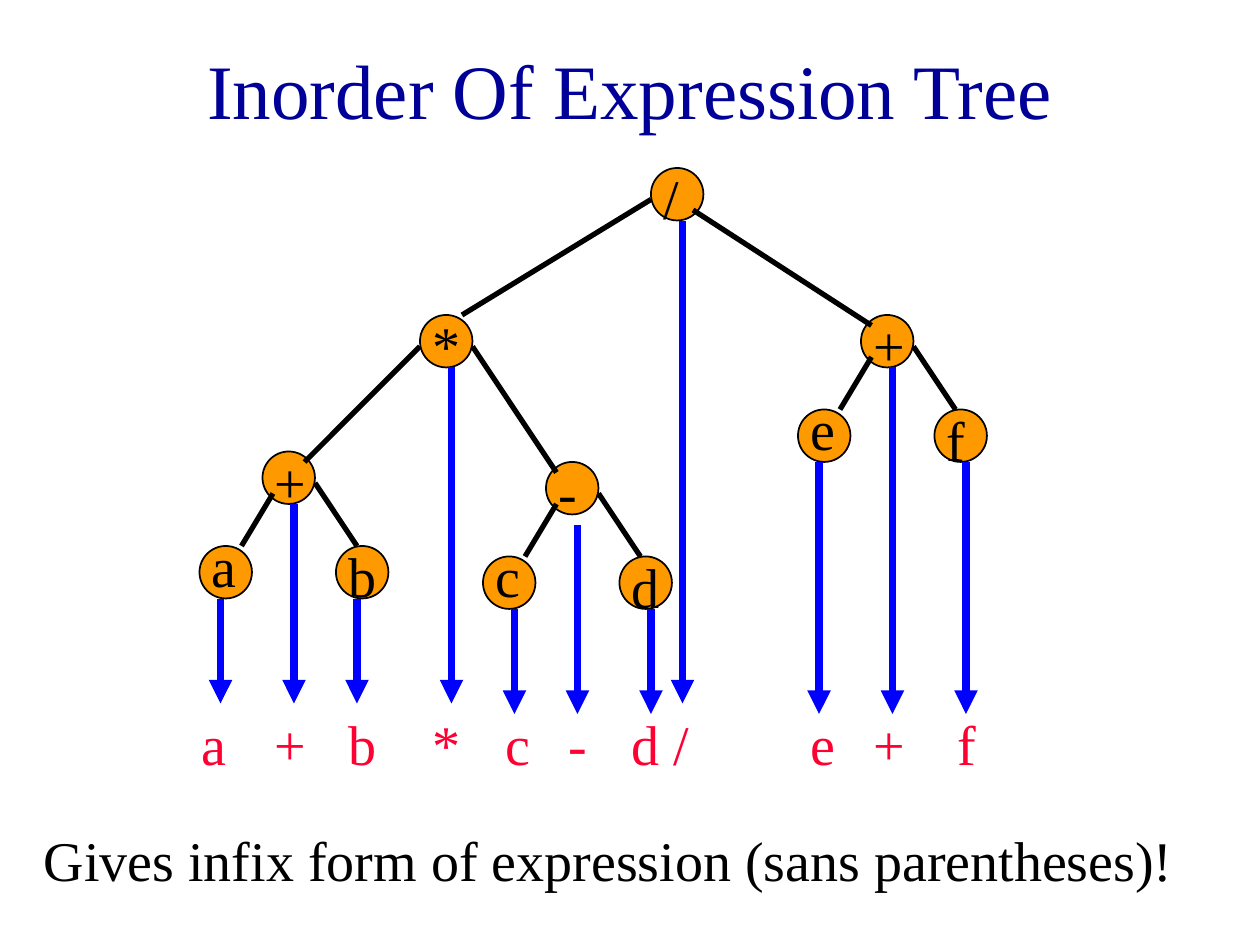
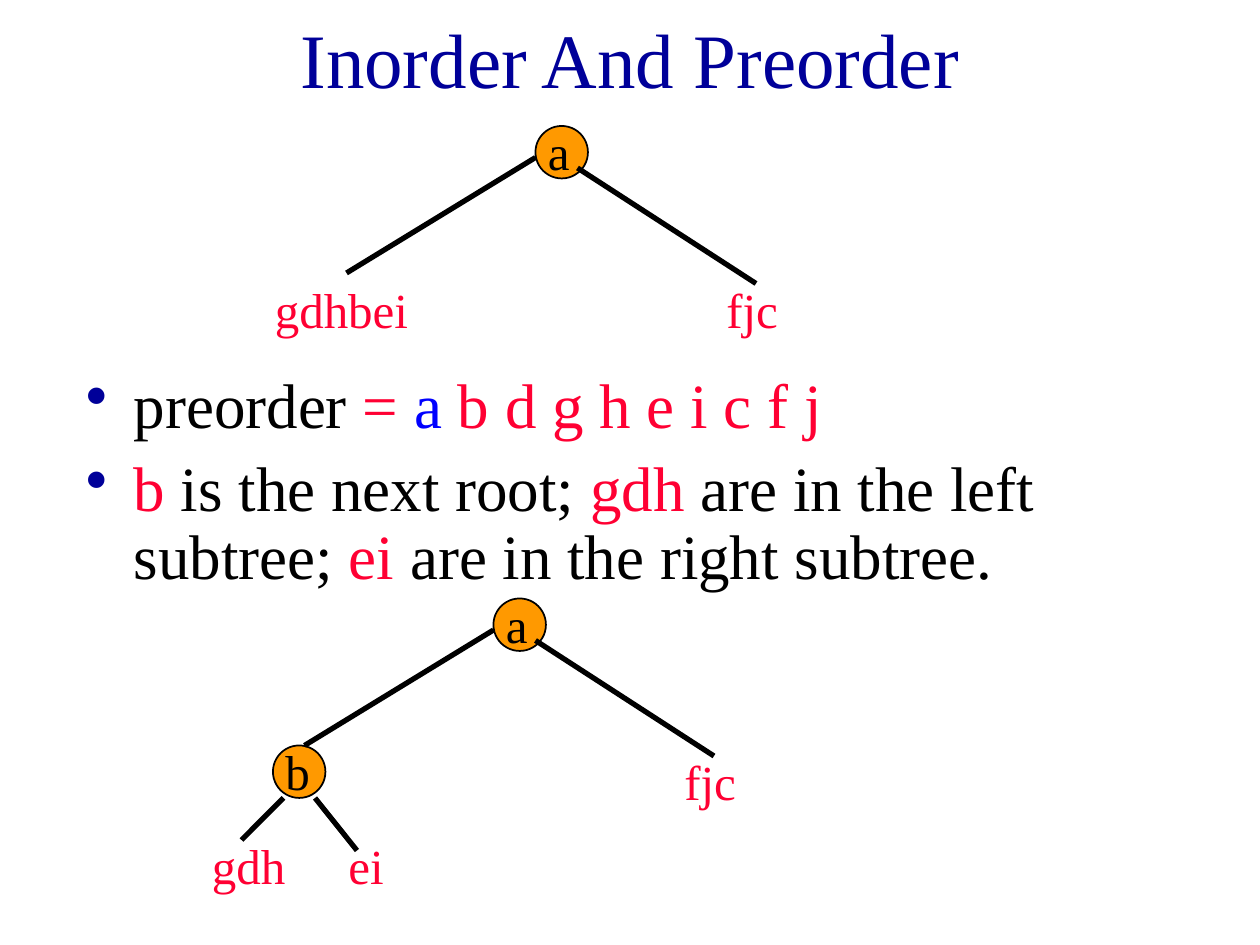
from lxml import etree
from pptx import Presentation
from pptx.dml.color import RGBColor
from pptx.enum import shapes, text
from pptx.oxml import ns
from pptx.util import Inches, Pt

COLORS = {"title": "000099", "ink": "000000", "node": "FF9900",
          "result": "FF0033", "arrow": "0000FF"}
FONT = "Times New Roman"
GRID = Inches(1) / 12  # every position below is a whole number of twelfths
NODE = 5


def add_text(page, words, x, y, width, height, size, color="ink"):
    box = page.shapes.add_textbox(*(round(n * GRID) for n in (x, y, width, height)))
    box.text_frame.word_wrap = True
    para = box.text_frame.paragraphs[0]
    para.text = words
    para.font.name, para.font.size = FONT, Pt(size)
    para.font.color.rgb = RGBColor.from_string(COLORS[color])
    para.space_before = Pt(size * 0.625)
    return box


def add_line(page, x1, y1, x2, y2, color="ink", width=3):
    line = page.shapes.add_connector(
        shapes.MSO_CONNECTOR.STRAIGHT, *(round(n * GRID) for n in (x1, y1, x2, y2)))
    line.line.color.rgb = RGBColor.from_string(COLORS[color])
    line.line.width = Pt(width)
    etree.SubElement(line._element.spPr, ns.qn("a:effectLst"))
    return line


deck = Presentation()
deck.slide_width, deck.slide_height = Inches(10), Inches(7.5)
tree_page, order_page = (deck.slides.add_slide(deck.slide_layouts[6]) for _ in range(2))

for page, title, height in ((tree_page, "Inorder Of Expression Tree", 13),
                            (order_page, "Inorder And Preorder", 7)):
    box = add_text(page, title, 9, 2, 102, height, 44, "title")
    box.text_frame.vertical_anchor = text.MSO_ANCHOR.MIDDLE
    para = box.text_frame.paragraphs[0]
    para.alignment = text.PP_ALIGN.CENTER
    para.space_before = Pt(0)

# Body text of the second slide
body = add_text(order_page, "", 7, 35, 102, 24, 36).text_frame
bullets = [
    [("preorder", "ink"), (" = ", "result"), ("a", "arrow"),
     (" b d g h e i c f j", "result")],
    [("b", "result"), (" is the next root; ", "ink"), ("gdh", "result"),
     (" are in the left subtree; ", "ink"), ("ei", "result"),
     (" are in the right subtree.", "ink")],
]
for number, pieces in enumerate(bullets):
    para = body.add_paragraph() if number else body.paragraphs[0]
    para.font.name, para.font.size = FONT, Pt(36)
    para.line_spacing, para.space_before = 0.9, Pt(9)
    for words, color in pieces:
        span = para.add_run()
        span.text = words
        span.font.color.rgb = RGBColor.from_string(COLORS[color])
    props = para._p.get_or_add_pPr()
    props.set("marL", str(Inches(0.38)))
    props.set("indent", str(-Inches(0.38)))
    bullet_color = etree.Element(ns.qn("a:buClr"))
    etree.SubElement(bullet_color, ns.qn("a:srgbClr"), val=COLORS["title"])
    bullet = etree.Element(ns.qn("a:buChar"), char="•")
    position = len(props.findall(ns.qn("a:lnSpc")) + props.findall(ns.qn("a:spcBef")))
    props.insert(position, bullet_color)
    props.insert(position + 1, bullet)

# Nodes: page, label, left, top, rise of the label above the circle
nodes = [(tree_page, "/", 62, 16, 1), (tree_page, "*", 40, 30, 1),
         (order_page, "a", 51, 12, 1), (order_page, "a", 47, 57, 1),
         (order_page, "b", 26, 71, 1)]
# Edges: page, start x, start y, end x, end y
edges = [(tree_page, 40, 33, 29, 44), (tree_page, 45, 33, 53, 45),
         (order_page, 27, 76, 23, 80), (order_page, 30, 76, 34, 81)]

# A wide fork below each root
for page, x, y in ((tree_page, 62, 16), (order_page, 51, 12), (order_page, 47, 57)):
    edges += [(page, x, y + 3, x - 18, y + 14), (page, x + 4, y + 4, x + 21, y + 15)]

# An operator with its two operands
for symbols, x, y in (("+ab", 25, 43), ("-cd", 52, 44), ("+ef", 82, 30)):
    operator, left, right = symbols
    nodes += [(tree_page, operator, x, y, 1), (tree_page, left, x - 6, y + 9, 2),
              (tree_page, right, x + 7, y + 9, 1)]
    edges += [(tree_page, x + 1, y + 4, x - 2, y + 9),
              (tree_page, x + 5, y + 3, x + 9, y + 9)]

for page, label, x, y, rise in nodes:
    circle = page.shapes.add_shape(
        shapes.MSO_SHAPE.OVAL, *(round(n * GRID) for n in (x, y, NODE, NODE)))
    circle.shadow.inherit = False
    circle.fill.solid()
    circle.fill.fore_color.rgb = RGBColor.from_string(COLORS["node"])
    circle.line.color.rgb = RGBColor.from_string(COLORS["ink"])
    circle.line.width = Pt(1)
    if page is tree_page:
        add_text(page, label, x, y - rise, NODE, 7.7, 32)
    else:
        add_text(page, label, x, y - rise, 10, 6.8, 28)

for page, *ends in edges:
    add_line(page, *ends)

# Inorder output: symbol, its left, arrow x, arrow top, arrow tip
outputs = [("a", 18, 21, 57, 67), ("+", 25, 28, 48, 67), ("b", 32, 34, 57, 67),
           ("*", 40, 43, 35, 67), ("c", 47, 49, 58, 68), ("-", 53, 55, 50, 68),
           ("d", 59, 62, 58, 68), ("/", 63, 65, 21, 67), ("e", 76, 78, 44, 68),
           ("+", 82, 85, 35, 68), ("f", 90, 92, 44, 68)]
for symbol, left, x, top, tip in outputs:
    arrow = add_line(tree_page, x, top, x, tip, "arrow", 4.5)
    etree.SubElement(arrow.line._get_or_add_ln(), ns.qn("a:tailEnd"), type="triangle")
    add_text(tree_page, symbol, left, 67, NODE, 7.7, 32, "result")

add_text(tree_page, "Gives infix form of expression (sans parentheses)!",
         3, 78, 113, 7.7, 32)

for subtree, x, y, width in (("gdhbei", 25, 26, 17), ("fjc", 68, 26, 17),
                             ("fjc", 64, 71, 17), ("gdh", 19, 79, 10), ("ei", 32, 79, 8)):
    add_text(order_page, subtree, x, y, width, 6.8, 28, "result")

deck.save("out.pptx")
